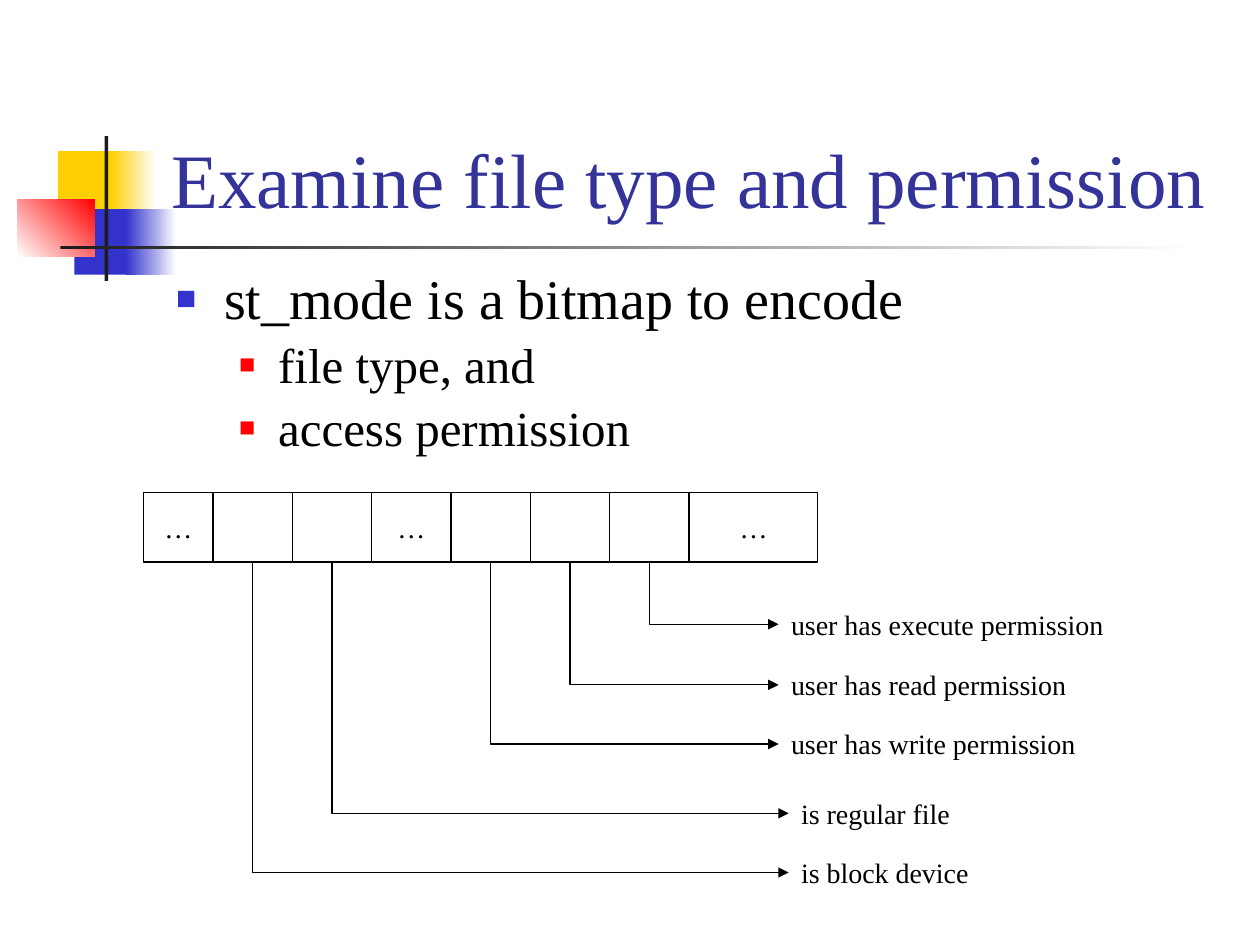
"""Build a slide that explains the st_mode bitmap with labelled bits."""
from dataclasses import dataclass
from typing import Optional

from lxml.etree import SubElement
from pptx import Presentation
from pptx.dml.color import RGBColor as RGB
from pptx.enum.shapes import MSO_CONNECTOR as CONN, MSO_SHAPE as SHAPE
from pptx.enum.text import MSO_ANCHOR as ANCHOR, MSO_AUTO_SIZE as FIT, PP_ALIGN as ALIGN
from pptx.oxml.ns import qn
from pptx.util import Inches, Pt


@dataclass(frozen=True)
class Theme:
    font: str = "Times New Roman"
    title: str = "333399"
    text: str = "000000"
    yellow: str = "FFCF01"
    blue: str = "3333CC"
    red: str = "FF0000"
    dark: str = "1C1C1C"
    white: str = "FFFFFF"
    title_size: int = 44
    body_size: int = 32
    sub_size: int = 28
    label_size: int = 16
    line: float = 0.75


@dataclass(frozen=True)
class Block:
    left: float
    top: float
    width: float
    height: float
    color: str
    fade_to: Optional[str] = None
    angle: int = 0


@dataclass(frozen=True)
class Bullet:
    text: str
    level: int
    size: int
    indent: float
    hanging: float
    color: str
    scale: int


@dataclass(frozen=True)
class Flag:
    text: str
    bit: int
    left: float
    top: float
    width: float


T = Theme()
BLOCKS = [
    Block(0.46, 1.2, 0.48, 0.52, T.yellow),
    Block(0.88, 1.2, 0.36, 0.52, T.yellow, T.white),
    Block(0.59, 1.66, 0.46, 0.52, T.blue),
    Block(1, 1.66, 0.4, 0.52, T.blue, T.white),
    Block(0.14, 1.58, 0.61, 0.46, T.white, T.red, 45),
    Block(0.83, 1.08, 0.03, 1.15, T.dark),
    Block(0.48, 1.95, 9, 0.03, T.dark, T.white),
]
BULLETS = [
    Bullet("st_mode is a bitmap to encode", 0, T.body_size, 0.38, 0.38, T.blue, 60),
    Bullet("file type, and", 1, T.sub_size, 0.81, 0.31, T.red, 55),
    Bullet("access permission", 1, T.sub_size, 0.81, 0.31, T.red, 55),
]
BITS_LEFT, BITS_TOP, BIT_HEIGHT = 1.14, 3.91, 0.55
BIT_WIDTHS = [0.55] + [0.63] * 6 + [1.02]
ELLIPSIS_BITS = {0, 3, 7}
LABEL_HEIGHT = 0.37
FLAGS = [
    Flag("user has execute permission", 6, 6.18, 4.77, 2.7),
    Flag("user has read permission", 5, 6.18, 5.25, 2.4),
    Flag("user has write permission", 4, 6.18, 5.72, 2.47),
    Flag("is regular file", 2, 6.26, 6.27, 1.39),
    Flag("is block device", 1, 6.26, 6.74, 1.54),
]


def add_run(p, text: str, size: int, color: str = T.text) -> None:
    """Add one run in the theme font."""
    r = p.add_run()
    r.text = text
    r.font.name = T.font
    r.font.size = Pt(size)
    r.font.color.rgb = RGB.from_string(color)


def add_text_box(s, left: float, top: float, width: float, height: float, wrap: bool = True):
    """Add an empty text box and return it."""
    sp = s.shapes.add_textbox(Inches(left), Inches(top), Inches(width), Inches(height))
    sp.text_frame.word_wrap = wrap
    return sp


def add_block(s, block: Block) -> None:
    """Draw a borderless plain or fading rectangle."""
    sp = s.shapes.add_shape(SHAPE.RECTANGLE, Inches(block.left), Inches(block.top),
                            Inches(block.width), Inches(block.height))
    sp.shadow.inherit = False
    sp.line.fill.background()
    if block.fade_to is None:
        sp.fill.solid()
        sp.fill.fore_color.rgb = RGB.from_string(block.color)
        return
    sp.fill.gradient()
    sp.fill.gradient_angle = block.angle
    for stop, color in zip(sp.fill.gradient_stops, (block.color, block.fade_to)):
        stop.color.rgb = RGB.from_string(color)


def add_bullet(p, bullet: Bullet) -> None:
    """Fill a paragraph with a square-bulleted item."""
    p.level = bullet.level
    p.line_spacing = 0.9
    pPr = p._p.get_or_add_pPr()
    pPr.set("marL", str(Inches(bullet.indent)))
    pPr.set("indent", str(-Inches(bullet.hanging)))
    SubElement(SubElement(pPr, qn("a:spcBef")), qn("a:spcPct"), val="20000")
    SubElement(SubElement(pPr, qn("a:buClr")), qn("a:srgbClr"), val=bullet.color)
    SubElement(pPr, qn("a:buSzPct"), val=str(bullet.scale * 1000))
    SubElement(pPr, qn("a:buFont"), typeface=T.font)
    SubElement(pPr, qn("a:buChar"), char="■")
    add_run(p, bullet.text, bullet.size)


def add_bit(s, index: int):
    """Draw one cell of the bitmap and return it."""
    left = BITS_LEFT + sum(BIT_WIDTHS[:index])
    sp = s.shapes.add_shape(SHAPE.RECTANGLE, Inches(left), Inches(BITS_TOP),
                            Inches(BIT_WIDTHS[index]), Inches(BIT_HEIGHT))
    sp.shadow.inherit = False
    sp.fill.background()
    sp.line.color.rgb = RGB.from_string(T.text)
    sp.line.width = Pt(T.line)
    if index in ELLIPSIS_BITS:
        tf = sp.text_frame
        tf.word_wrap = False
        tf.vertical_anchor = ANCHOR.MIDDLE
        tf.paragraphs[0].alignment = ALIGN.CENTER
        add_run(tf.paragraphs[0], "…", T.label_size)
    return sp


def add_flag(s, flag: Flag, bit) -> None:
    """Label a bit and lead an arrow down and right from it."""
    sp = add_text_box(s, flag.left, flag.top, flag.width, LABEL_HEIGHT, wrap=False)
    sp.text_frame.auto_size = FIT.SHAPE_TO_FIT_TEXT
    add_run(sp.text_frame.paragraphs[0], flag.text, T.label_size)

    x, y = bit.left + bit.width // 2, bit.top + bit.height
    across, down = sp.left - x, sp.top + sp.height // 2 - y
    arrow = s.shapes.add_connector(CONN.ELBOW, x, y, x + across, y + down)
    arrow.begin_connect(bit, 2)
    arrow.end_connect(sp, 1)
    arrow.left, arrow.top = x + (across - down) // 2, y + (down - across) // 2
    arrow.width, arrow.height = down, across
    arrow.line.color.rgb = RGB.from_string(T.text)
    arrow.line.width = Pt(T.line)
    spPr = arrow._element.spPr
    spPr.find(qn("a:prstGeom")).set("prst", "bentConnector2")
    xfrm = spPr.find(qn("a:xfrm"))
    xfrm.set("rot", str(270 * 60000))
    xfrm.set("flipH", "1")
    SubElement(spPr.find(qn("a:ln")), qn("a:tailEnd"), type="triangle")
    SubElement(spPr, qn("a:effectLst"))


def main() -> None:
    """Assemble and save the slide."""
    prs = Presentation()
    prs.slide_width, prs.slide_height = Inches(10), Inches(7.5)
    s = prs.slides.add_slide(prs.slide_layouts[6])
    for block in BLOCKS:
        add_block(s, block)

    title = add_text_box(s, 1.26, 0.23, 8.52, 1.6).text_frame
    title.vertical_anchor = ANCHOR.BOTTOM
    add_run(title.paragraphs[0], "Examine file type and permission", T.title_size, T.title)

    body = add_text_box(s, 1.3, 2.1, 8.5, 1.65).text_frame
    for i, bullet in enumerate(BULLETS):
        add_bullet(body.add_paragraph() if i else body.paragraphs[0], bullet)

    bits = [add_bit(s, i) for i in range(len(BIT_WIDTHS))]
    for flag in FLAGS:
        add_flag(s, flag, bits[flag.bit])
    prs.save("out.pptx")


if __name__ == "__main__":
    main()
